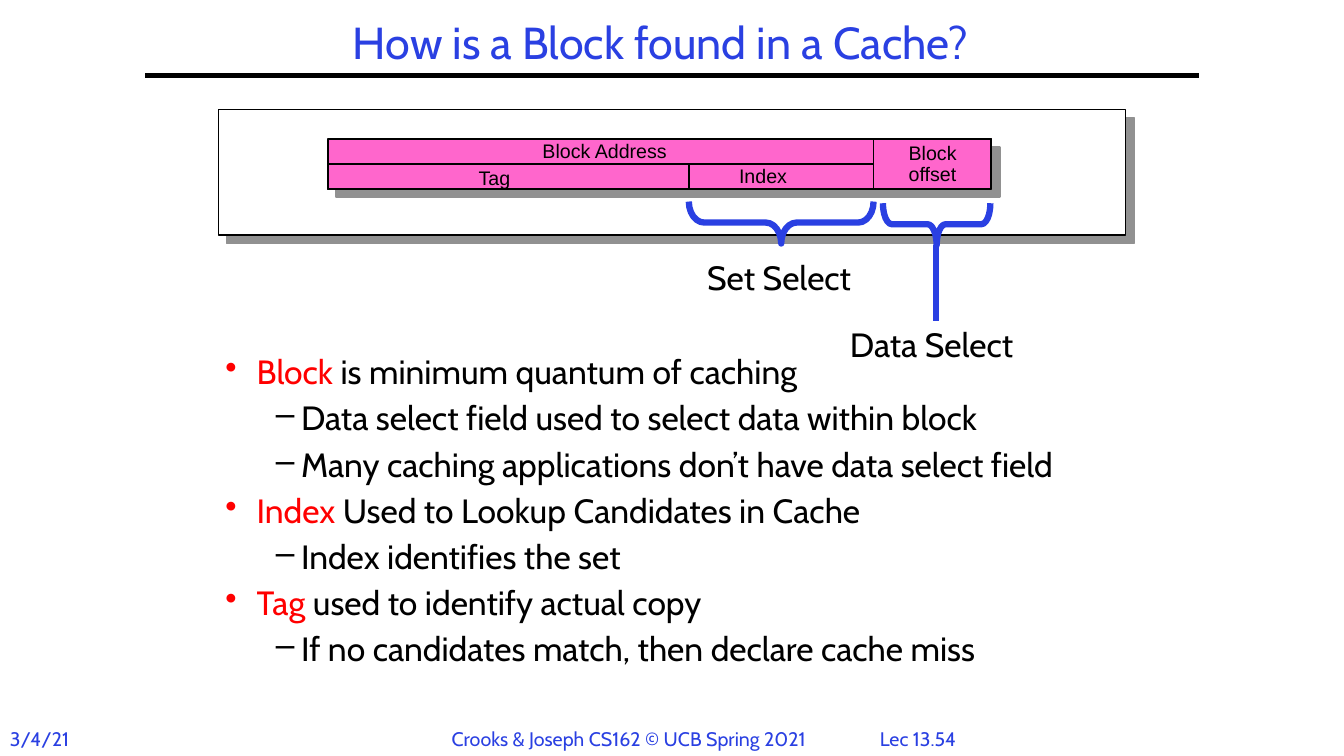
from lxml import etree
from pptx import Presentation
from pptx.dml.color import RGBColor
from pptx.enum.shapes import MSO_CONNECTOR, MSO_SHAPE
from pptx.enum.text import MSO_ANCHOR, MSO_AUTO_SIZE, PP_ALIGN
from pptx.oxml.ns import qn
from pptx.util import Inches, Pt

RECT, BRACE = MSO_SHAPE.RECTANGLE, MSO_SHAPE.RIGHT_BRACE
STRAIGHT = MSO_CONNECTOR.STRAIGHT
LEFT, CENTER = PP_ALIGN.LEFT, PP_ALIGN.CENTER
TOP, MIDDLE = MSO_ANCHOR.TOP, MSO_ANCHOR.MIDDLE
FIXED = MSO_AUTO_SIZE.NONE

BLACK = RGBColor(0, 0, 0)
WHITE = RGBColor(255, 255, 255)
BLUE = RGBColor(0x2A, 0x40, 0xE2)
PINK = RGBColor(0xFF, 0x66, 0xCC)
RED = RGBColor(255, 0, 0)
GRAY = RGBColor(0x91, 0x91, 0x91)

COLS, ROWS = 160, 90
CELL = Inches(1) / 12

FOOTER = {"name": "Cabin", "size": Pt(14), "color": BLUE}
FIELD = {"name": "Arial", "size": Pt(14), "color": BLACK}
BODY = {"name": "Cabin", "size": Pt(24), "color": BLACK}
TITLE = {"name": "Cabin", "size": Pt(32), "color": BLUE}
INDENTS = [("•", 0.31, -0.31), ("–", 0.75, -0.25)]


def grid(*cells):
    return [round(cell * CELL) for cell in cells]


class Page:
    def __init__(self, deck):
        self.slide = deck.slides.add_slide(deck.slide_layouts[5])
        self.shapes = self.slide.shapes

    def style(self, font, form):
        for key, value in form.items():
            if key == "color":
                font.color.rgb = value
            else:
                setattr(font, key, value)

    def frame(self, box, wrap, anchor=TOP, inset=(0.1, 0.05)):
        side, edge = (Inches(size) for size in inset)
        form = {"word_wrap": wrap, "vertical_anchor": anchor, "auto_size": FIXED,
                "margin_left": side, "margin_right": side,
                "margin_top": edge, "margin_bottom": edge}
        for key, value in form.items():
            setattr(box.text_frame, key, value)
        return box.text_frame

    def fill(self, frame, text, form, align=LEFT, pitch=1.0):
        frame.text = text
        for para in frame.paragraphs:
            para.alignment, para.line_spacing = align, pitch
            for run in para.runs:
                self.style(run.font, form)

    def title(self, place, text):
        box = self.shapes.title
        box.left, box.top, box.width, box.height = grid(*place)
        self.fill(self.frame(box, True, MIDDLE), text, TITLE, CENTER, 0.9)

    def label(self, place, text, form, align=LEFT, pitch=1.0):
        box = self.shapes.add_textbox(*grid(*place))
        self.fill(self.frame(box, False), text, form, align, pitch)

    def line(self, start, end, color, width):
        line = self.shapes.add_connector(STRAIGHT, *grid(*start, *end))
        line.line.color.rgb, line.line.width = color, Pt(width)
        etree.SubElement(line._element.spPr, qn("a:effectLst"))

    def shape(self, kind, place, color, width, fill=None):
        item = self.shapes.add_shape(kind, *grid(*place))
        item.shadow.inherit = False
        item.line.color.rgb, item.line.width = color, Pt(width)
        if fill is None:
            item.fill.background()
        else:
            item.fill.solid()
            item.fill.fore_color.rgb = fill
        return item

    def panel(self, place, width, fill):
        item = self.shape(RECT, place, BLACK, width, fill)
        effects = item._element.spPr.find(qn("a:effectLst"))
        shade = etree.SubElement(effects, qn("a:outerShdw"), blurRad="0",
                                 dist=str(Pt(8.5)), dir="2700000",
                                 algn="ctr", rotWithShape="0")
        etree.SubElement(shade, qn("a:srgbClr"), val=str(GRAY))

    def brace(self, middle, top, span, bend):
        depth = 5
        place = (middle - depth / 2, top + depth / 2 - span / 2, depth, span)
        item = self.shape(BRACE, place, BLUE, 4.5)
        item.rotation = 90
        item.adjustments[0] = bend

    def list(self, place, items):
        box = self.shapes.add_textbox(*grid(*place))
        frame = self.frame(box, True, inset=(0.07, 0.03))
        for count, (level, lead, rest) in enumerate(items):
            para = frame.add_paragraph() if count else frame.paragraphs[0]
            mark, margin, indent = INDENTS[level]
            props = para._p.get_or_add_pPr()
            props.set("marL", str(Inches(margin)))
            props.set("indent", str(Inches(indent)))
            etree.SubElement(props, qn("a:buChar"), char=mark)
            para.level, para.line_spacing = level, 0.9
            para.space_before = Pt(7 if count else 0)
            for text, color in ((lead, RED), (rest, BLACK)):
                if text:
                    run = para.add_run()
                    run.text = text
                    self.style(run.font, {**BODY, "color": color})


def main():
    deck = Presentation()
    deck.slide_width, deck.slide_height = grid(COLS, ROWS)
    page = Page(deck)
    page.title((30, 3, 97.3, 4.8), "How is a Block found in a Cache?")
    page.line((17.3, 9), (142.7, 9), BLACK, 3)

    foot = 85.9
    page.label((0, foot, 9.6, 4), "3/4/21", FOOTER)
    page.label((52.6, foot, 45.1, 4), "Crooks & Joseph CS162 © UCB Spring 2021", FOOTER)
    page.label((102, foot, 14.6, 4), "Lec 13.54", FOOTER, CENTER)

    page.list((26, 42, 109, 40), [
        (0, "Block", " is minimum quantum of caching"),
        (1, "", "Data select field used to select data within block"),
        (1, "", "Many caching applications don’t have data select field"),
        (0, "Index", " Used to Lookup Candidates in Cache"),
        (1, "", "Index identifies the set"),
        (0, "Tag", " used to identify actual copy"),
        (1, "", "If no candidates match, then declare cache miss"),
    ])

    left, split, edge, right = 39, 82, 104, 118
    top, half = 16.5, 3
    page.panel((26, 13, 108, 15), 1, WHITE)
    page.panel((left, top, right - left, 2 * half), 1.5, PINK)
    for start, end, row, height in ((left, edge, top + half, half),
                                    (split, edge, top + half, half),
                                    (edge, right, top, 2 * half)):
        page.shape(RECT, (start, row, end - start, height), BLACK, 1)

    page.label((107, top, 8.2, 6.2), "Block\noffset", FIELD, pitch=0.9)
    for place, text in (((63.4, 16, 17.3, 4), "Block Address"),
                        ((55.8, 19.1, 6.4, 4), "Tag"),
                        ((86.8, 18.9, 8.2, 4), "Index")):
        page.label(place, text, FIELD)

    page.brace((split + edge) / 2, 24, edge - split, 0.367)
    page.label((83, 30, 20.9, 6.1), "Set Select", BODY)
    page.brace(111.5, 24.2, 12.8, 0.214)
    page.label((100, 38, 23.3, 6.1), "Data Select", BODY)
    page.line((111.4, 29.2), (111.4, 38.2), BLUE, 4.5)
    deck.save("out.pptx")


if __name__ == "__main__":
    main()
